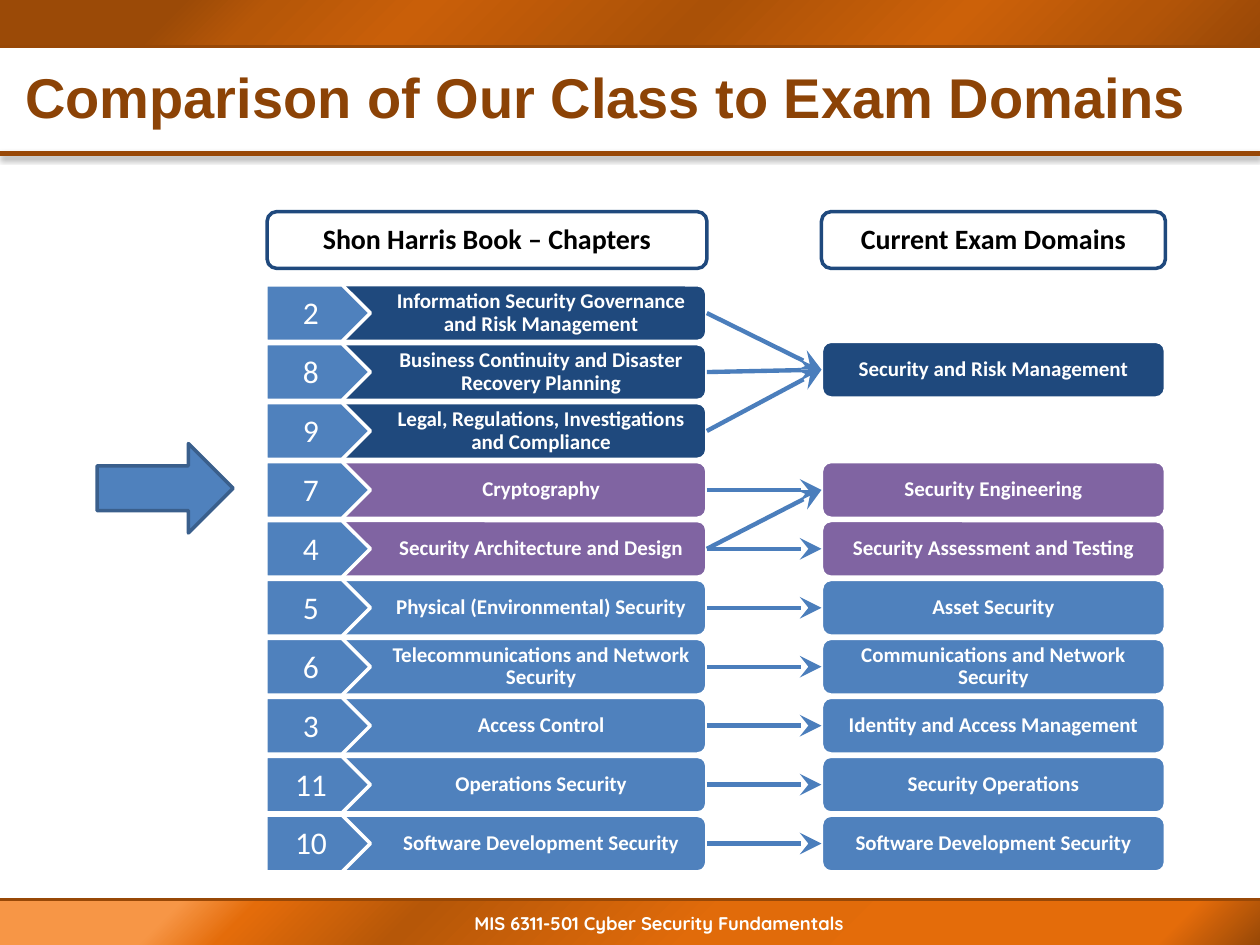
from lxml.etree import SubElement
from pptx import Presentation
from pptx.dml.color import RGBColor
from pptx.enum.shapes import MSO_CONNECTOR, MSO_SHAPE
from pptx.enum.text import MSO_ANCHOR, PP_ALIGN
from pptx.oxml.ns import qn
from pptx.util import Inches, Pt

THEME = {
    "white": "FFFFFF", "black": "000000", "navy": "1F497D", "purple": "8064A2",
    "blue": "4F81BD", "blue_edge": "3A5F8C", "arrow": "4B7EBC",
    "rust": "984807", "title": "8C4306",
    "header_band": [(14, "9B4A07"), (21, "B65708"), (33, "C95F09"), (55, "AA5107"),
                    (75, "CC6109"), (89, "B35508"), (100, "984807")],
    "footer_band": [(14, "F79646"), (20, "E46C0A"), (33, "B65708"), (56, "E16B0A"),
                    (78, "E46C0A"), (92, "E46C0A"), (100, "984807")],
    "title_size": 32, "number_size": 18, "heading_size": 16, "label_size": 12,
    "footer_size": 10.5,
}


def add_block(kind, box, fill, edge=None):
    block = slide.shapes.add_shape(kind, *map(Inches, box))
    block.shadow.inherit = False
    block.fill.solid()
    block.fill.fore_color.rgb = RGBColor.from_string(THEME[fill])
    if edge:
        block.line.color.rgb = RGBColor.from_string(THEME[edge])
        block.line.width = Pt(2)
    else:
        block.line.fill.background()
    return block


def write(shape, text, size, color, font="Calibri", bold=True, spacing=0.9,
          align=PP_ALIGN.CENTER, margins=(0.05, 0.03, 0.05, 0.03)):
    frame = shape.text_frame
    frame.word_wrap = True
    frame.vertical_anchor = MSO_ANCHOR.MIDDLE
    (frame.margin_left, frame.margin_top,
     frame.margin_right, frame.margin_bottom) = map(Inches, margins)
    paragraph = frame.paragraphs[0]
    paragraph.alignment = align
    paragraph.line_spacing = spacing
    run = paragraph.add_run()
    run.text = text
    run.font.name = font
    run.font.size = Pt(THEME[size])
    run.font.bold = bold
    run.font.color.rgb = RGBColor.from_string(THEME[color])


prs = Presentation()
prs.slide_width, prs.slide_height = Inches(10), Inches(7.5)
slide = prs.slides.add_slide(prs.slide_layouts[6])

for top, stops in ((0, "header_band"), (7.14, "footer_band")):
    band = add_block(MSO_SHAPE.RECTANGLE, (0, top, 10, 0.36), "rust")
    band.fill.gradient()
    band.fill.gradient_angle = 315
    stop_list = band.fill._xPr.find(qn("a:gradFill")).find(qn("a:gsLst"))
    for old_stop in list(stop_list):
        stop_list.remove(old_stop)
    for percent, color in THEME[stops]:
        stop = SubElement(stop_list, qn("a:gs"), pos=str(percent * 1000))
        SubElement(stop, qn("a:srgbClr"), val=color)

lines = []
for y, width in ((0.37, 1.5), (1.22, 3), (7.14, 1.5)):
    rule = slide.shapes.add_connector(
        MSO_CONNECTOR.STRAIGHT, Inches(0), Inches(y), Inches(10), Inches(y))
    lines.append((rule, "rust", width))
title_rule = lines[1][0]

title = slide.shapes.add_textbox(Inches(0), Inches(0.42), Inches(10), Inches(0.75))
write(title, "Comparison of Our Class to Exam Domains", "title_size", "title", "Arial",
      align=PP_ALIGN.LEFT, margins=(0.2, 0.05, 0.1, 0.05))
footer = slide.shapes.add_textbox(Inches(1.42), Inches(7.19), Inches(7.42), Inches(0.29))
write(footer, "MIS 6311-501 Cyber Security Fundamentals", "footer_size", "white",
      "Quicksand", spacing=1, margins=(0.3, 0.03, 0.1, 0.05))

for left, width, heading in ((2.12, 3.49, "Shon Harris Book – Chapters"),
                             (6.52, 2.73, "Current Exam Domains")):
    heading_box = add_block(MSO_SHAPE.ROUNDED_RECTANGLE, (left, 1.68, width, 0.45),
                            "white", "navy")
    write(heading_box, heading, "heading_size", "black")

first_row, row_step, row_height = 2.26, 4.21 / 9, 0.45
chapters = [
    ("2", "Information Security Governance and Risk Management", "navy"),
    ("8", "Business Continuity and Disaster Recovery Planning", "navy"),
    ("9", "Legal, Regulations, Investigations and Compliance", "navy"),
    ("7", "Cryptography", "purple"),
    ("4", "Security Architecture and Design", "purple"),
    ("5", "Physical (Environmental) Security", "blue"),
    ("6", "Telecommunications and Network Security", "blue"),
    ("3", "Access Control", "blue"),
    ("11", "Operations Security", "blue"),
    ("10", "Software Development Security", "blue"),
]
chapter_boxes = {}
for row, (number, chapter, color) in enumerate(chapters):
    top = first_row + row * row_step
    chapter_box = add_block(MSO_SHAPE.ROUNDED_RECTANGLE, (2.63, top, 2.98, row_height),
                            color, "white")
    write(chapter_box, chapter, "label_size", "white", margins=(0.4, 0.03, 0.05, 0.03))
    chapter_boxes[number] = chapter_box
    number_tag = add_block(MSO_SHAPE.PENTAGON, (2.11, top, 0.83, row_height),
                           "blue", "white")
    write(number_tag, number, "number_size", "white", bold=False, spacing=1,
          margins=(0.1, 0.03, 0.1, 0.05))

domains = [
    (0.96, "Security and Risk Management", "navy", ("2", "8", "9")),
    (3, "Security Engineering", "purple", ("7", "4")),
    (4, "Security Assessment and Testing", "purple", ("4",)),
    (5, "Asset Security", "blue", ("5",)),
    (6, "Communications and Network Security", "blue", ("6",)),
    (7, "Identity and Access Management", "blue", ("3",)),
    (8, "Security Operations", "blue", ("11",)),
    (9, "Software Development Security", "blue", ("10",)),
]
for row, domain, color, sources in domains:
    domain_box = add_block(MSO_SHAPE.ROUNDED_RECTANGLE,
                           (6.52, first_row + row * row_step, 2.73, row_height),
                           color, "white")
    write(domain_box, domain, "label_size", "white")
    for number in sources:
        arrow = slide.shapes.add_connector(MSO_CONNECTOR.STRAIGHT, 0, 0, 0, 0)
        arrow.begin_connect(chapter_boxes[number], 3)
        arrow.end_connect(domain_box, 1)
        lines.append((arrow, "arrow", 2.5))

for line, color, width in lines:
    line.line.color.rgb = RGBColor.from_string(THEME[color])
    line.line.width = Pt(width)
    if color == "arrow":
        SubElement(line.line._get_or_add_ln(), qn("a:tailEnd"),
                   type="stealth", w="lg", len="lg")
    effects = SubElement(line._element.spPr, qn("a:effectLst"))
    if line is title_rule:
        shadow = SubElement(effects, qn("a:outerShdw"), blurRad=str(Pt(3.1)),
                            dist=str(Pt(1.6)), dir="5400000", rotWithShape="0")
        shade = SubElement(shadow, qn("a:srgbClr"), val=THEME["black"])
        SubElement(shade, qn("a:alpha"), val="38000")

add_block(MSO_SHAPE.RIGHT_ARROW, (0.77, 3.52, 1.08, 0.71), "blue", "blue_edge")

prs.save("out.pptx")
